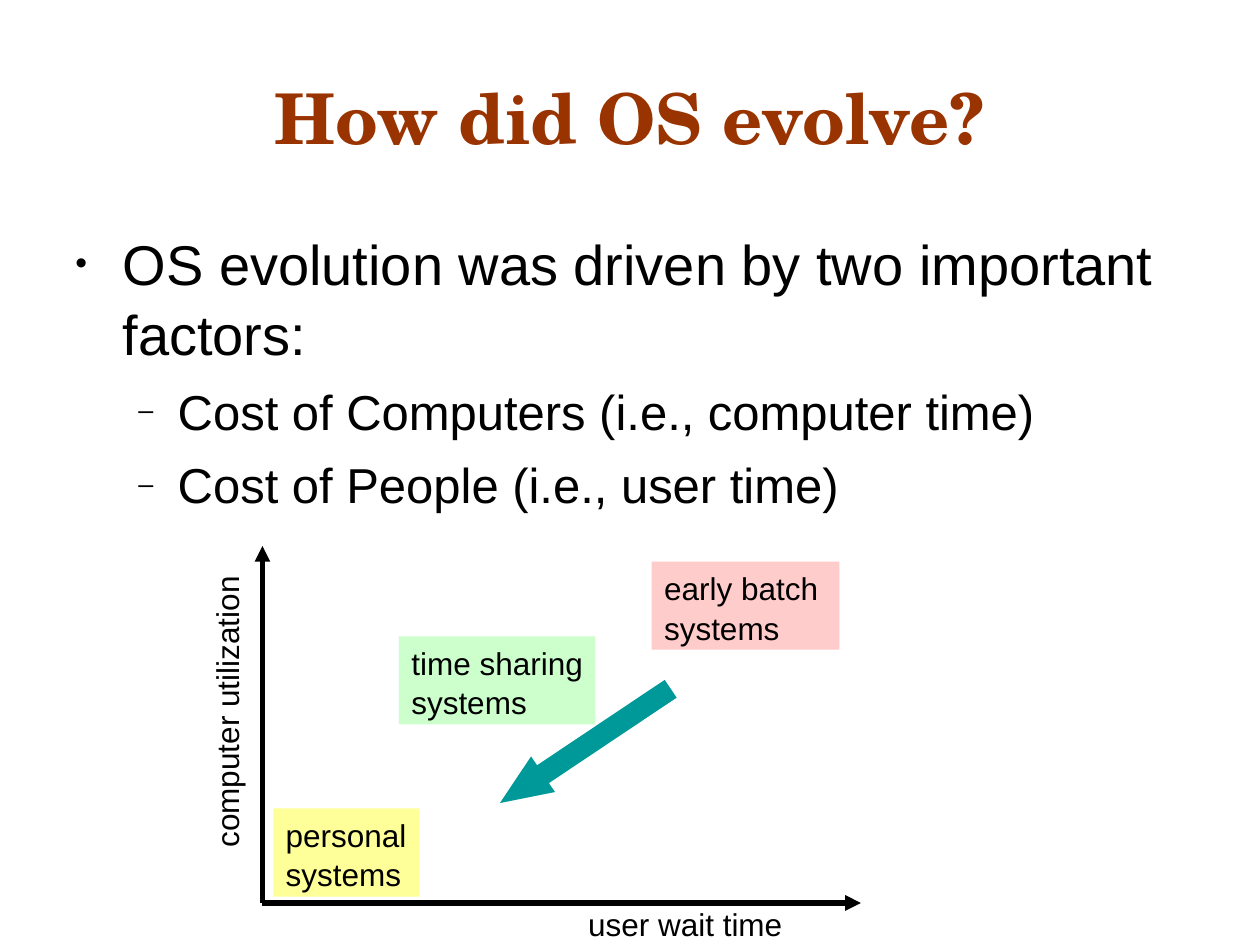
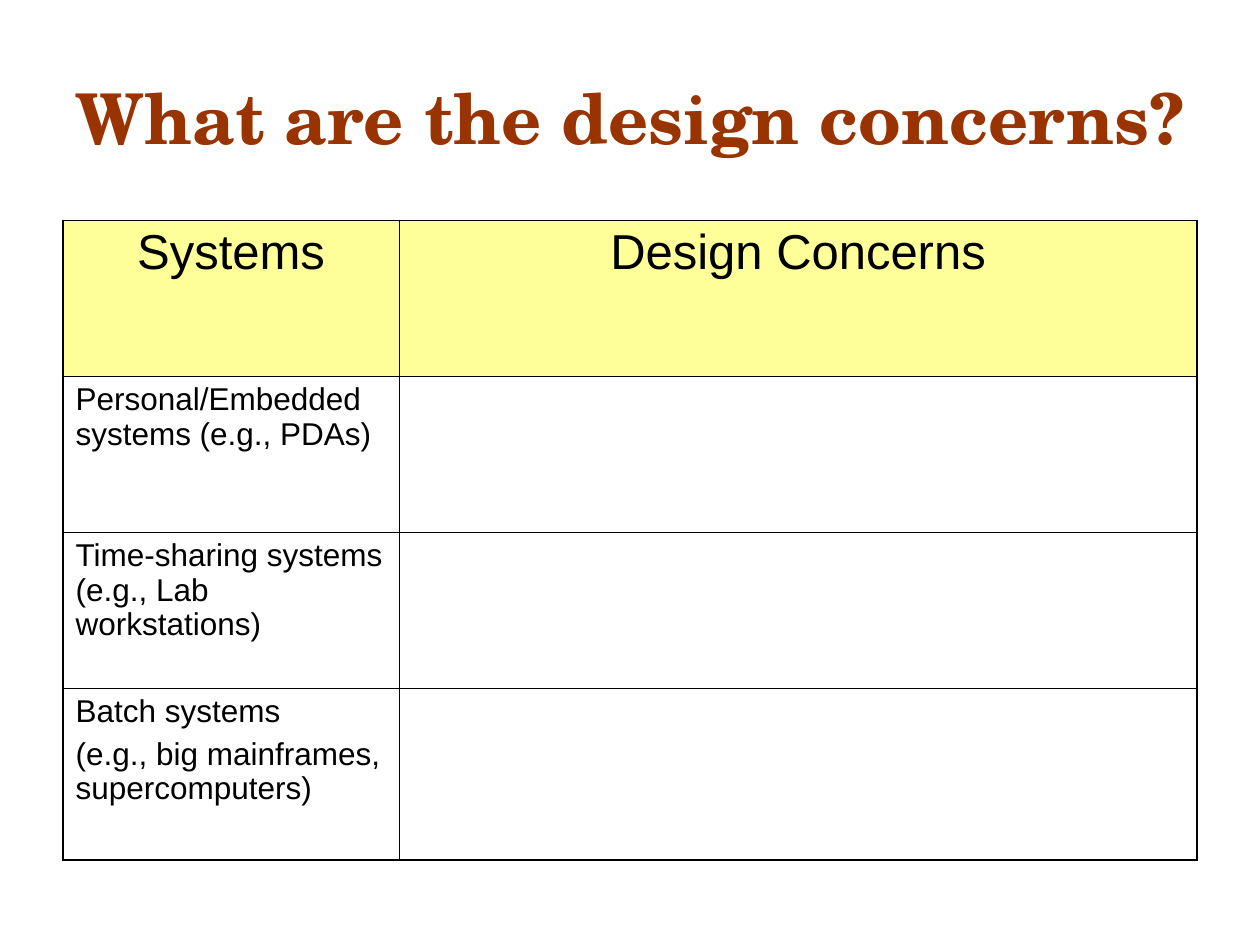
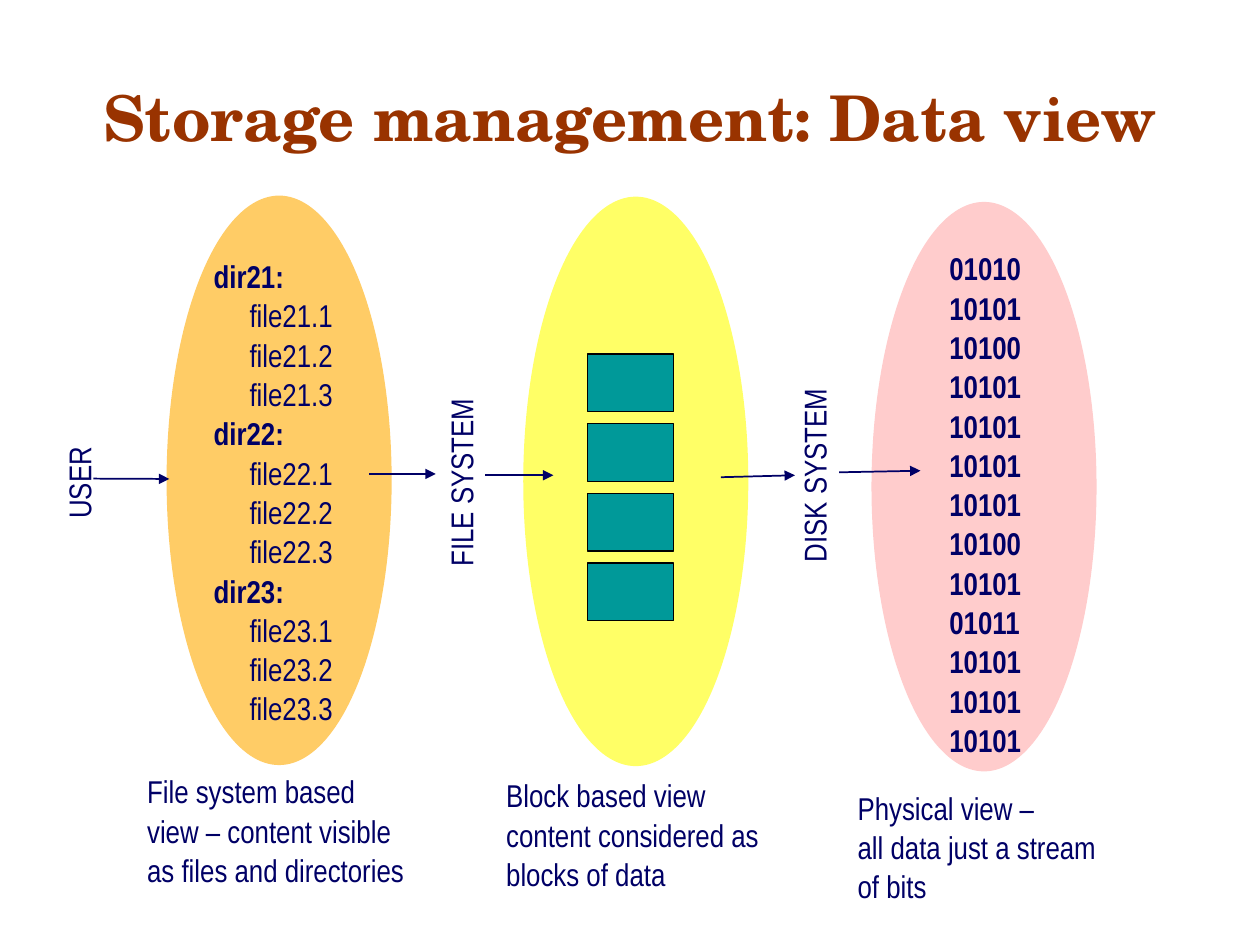
from lxml.etree import SubElement
from pptx import Presentation
from pptx.dml.color import RGBColor
from pptx.enum.shapes import MSO_CONNECTOR, MSO_SHAPE
from pptx.enum.text import MSO_ANCHOR, PP_ALIGN
from pptx.oxml import parse_xml
from pptx.oxml.ns import nsdecls, qn
from pptx.util import Pt

COLORS = {
    "title": "993300", "black": "000000", "navy": "000066", "teal": "009999",
    "pink": "FFCCCC", "green": "CCFFCC", "pale": "FFFF99",
    "orange": "FFCC66", "yellow": "FFFF66",
}
TITLE_FONT, BODY_FONT, NARROW_FONT = "TeX Gyre Schola", "Arial", "Arial Narrow"
LINE_SPACING, CELL_SPACING = 1.04, 0.98
OUTER, INNER = 1.08, 0.45
LEFT, TOP, WIDTH = 36, 126, 648


def rgb(name):
    return RGBColor.from_string(COLORS[name])


def box(*lengths):
    return [Pt(v) for v in lengths]


class Deck:
    def __init__(self):
        self.prs = Presentation()
        self.prs.slide_width, self.prs.slide_height = Pt(720), Pt(540)
        self.s = None

    def slide(self, title, size=40):
        self.s = self.prs.slides.add_slide(self.prs.slide_layouts[5])
        sp = self.s.shapes.title
        sp.left, sp.top, sp.width, sp.height = box(LEFT, 21.6, WIDTH, 90)
        tf = sp.text_frame
        tf.margin_left = tf.margin_right = 0
        tf.vertical_anchor = MSO_ANCHOR.MIDDLE
        tf.text = title
        p = tf.paragraphs[0]
        p.alignment = PP_ALIGN.CENTER
        self.font(p, size, TITLE_FONT, "title", True)

    def font(self, p, size=18, name=BODY_FONT, color="black", bold=False):
        f = p.font
        f.size, f.name, f.bold = Pt(size), name, bold
        f.color.rgb = rgb(color)

    def lines(self, tf, texts, spacing=LINE_SPACING, before=0, **font):
        """Fill a text frame with one paragraph per text."""
        for i, text in enumerate(texts):
            p = tf.paragraphs[0] if i == 0 else tf.add_paragraph()
            p.text = text
            p.alignment = PP_ALIGN.LEFT
            p.line_spacing = spacing
            if i and before:
                p.space_before = Pt(before)
            self.font(p, **font)

    def frame(self, sp):
        tf = sp.text_frame
        tf.word_wrap = True
        tf.margin_right = 0
        tf.vertical_anchor = MSO_ANCHOR.TOP
        return tf

    def text(self, at, texts, rotation=0, **font):
        sp = self.s.shapes.add_textbox(*box(*at))
        sp.rotation = rotation
        tf = self.frame(sp)
        self.lines(tf, texts, **font)
        return tf

    def bullets(self, at, items):
        """Each item is (text, size, mark, mark size in %, indent, hanging, space before)."""
        tf = self.text(at, [item[0] for item in items])
        for p, (_, size, mark, percent, indent, hang, before) in zip(tf.paragraphs, items):
            pPr = p._p.get_or_add_pPr()
            pPr.set("marL", str(Pt(indent)))
            pPr.set("indent", str(Pt(-hang)))
            marks = (f'<a:buClr {nsdecls("a")}><a:srgbClr val="{COLORS["black"]}"/></a:buClr>',
                     f'<a:buSzPct {nsdecls("a")} val="{percent * 1000}"/>',
                     f'<a:buFont {nsdecls("a")} typeface="{BODY_FONT}"/>',
                     f'<a:buChar {nsdecls("a")} char="{mark}"/>')
            defaults = pPr.find(qn("a:defRPr"))
            for xml in marks:
                defaults.addprevious(parse_xml(xml))
            if before:
                p.space_before = Pt(before)
            self.font(p, size)

    def shape(self, kind, at, fill, line=None, texts=()):
        sp = self.s.shapes.add_shape(kind, *box(*at))
        sp.shadow.inherit = False
        sp.fill.solid()
        sp.fill.fore_color.rgb = rgb(fill)
        if line:
            sp.line.color.rgb, sp.line.width = rgb(line), Pt(0.75)
        else:
            sp.line.fill.background()
        if texts:
            self.lines(self.frame(sp), texts)
        return sp

    def arrow(self, ends, color="navy", width=1):
        c = self.s.shapes.add_connector(MSO_CONNECTOR.STRAIGHT, *box(*ends))
        c.line.color.rgb, c.line.width = rgb(color), Pt(width)
        SubElement(c.line._get_or_add_ln(), qn("a:tailEnd"), type="triangle")
        SubElement(c._element.spPr, qn("a:effectLst"))

    def borders(self, cell, widths):
        """Draw the left, right, top and bottom borders of a cell."""
        tcPr = cell._tc.get_or_add_tcPr()
        for i, (side, width) in enumerate(zip("LRTB", widths)):
            tcPr.insert(i, parse_xml(
                f'<a:ln{side} {nsdecls("a")} w="{Pt(width)}"><a:solidFill>'
                f'<a:srgbClr val="{COLORS["black"]}"/></a:solidFill></a:ln{side}>'))

    def table(self, at, widths, heights, header, rows):
        """Each row lists its cells, and each cell lists its paragraphs."""
        data = [[[h] for h in header]] + rows
        table = self.s.shapes.add_table(len(data), len(header), *box(*at)).table
        table.first_row = table.horz_banding = False
        for col, width in zip(table.columns, widths):
            col.width = Pt(width)
        last_r, last_c = len(data) - 1, len(header) - 1
        for r, row in enumerate(data):
            table.rows[r].height = Pt(heights[r])
            for c, texts in enumerate(row):
                cell = table.cell(r, c)
                self.lines(cell.text_frame, texts, CELL_SPACING, before=4.5,
                           size=18 if r else 28)
                if r:
                    cell.fill.background()
                else:
                    cell.fill.solid()
                    cell.fill.fore_color.rgb = rgb("pale")
                    cell.text_frame.paragraphs[0].alignment = PP_ALIGN.CENTER
                edges = (c == 0, c == last_c, r == 0, r == last_r)
                self.borders(cell, [OUTER if edge else INNER for edge in edges])


def evolution(d):
    d.slide("How did OS evolve?")
    dash = (28, "–", 55, 58.5, 22.5, 7)
    d.bullets((LEFT, TOP, WIDTH, 356), [
        ("OS evolution was driven by two important factors:", 32, "•", 60, 27, 27, 0),
        ("Cost of Computers (i.e., computer time)", *dash),
        ("Cost of People (i.e., user time)", *dash),
    ])
    origin = (150, 516)
    d.arrow((*origin, 150, 312), "black", 3)
    d.arrow((*origin, 492, 516), "black", 3)
    d.text((329, 512.6, 125.3, 28.8), ["user wait time"])
    d.text((44, 392.4, 169.2, 28.8), ["computer utilization"], rotation=270)
    for x, y, w, fill, kind in ((372.4, 320.9, 107.3, "pink", "early batch"),
                                (156.2, 462, 83.5, "pale", "personal"),
                                (228, 363.6, 112.3, "green", "time sharing")):
        d.shape(MSO_SHAPE.RECTANGLE, (x, y, w, 50.4), fill, texts=[kind, "systems"])
    trend = d.shape(MSO_SHAPE.LEFT_ARROW, (275.8, 414, 117.4, 24.5), "teal")
    trend.adjustments[0], trend.adjustments[1] = 0.5, 1.21
    trend.rotation = 326.2


def concerns(d):
    d.slide("What are the design concerns?")
    d.table((LEFT, TOP, WIDTH, 365), (192, 456), (89.2, 89.2, 89.2, 97.9),
            ["Systems", "Design Concerns"],
            [[["Personal/Embedded systems (e.g., PDAs)"], [""]],
             [["Time-sharing systems (e.g., Lab workstations)"], [""]],
             [["Batch systems", "(e.g., big mainframes, supercomputers)"], [""]]])


def storage(d):
    narrow = {"name": NARROW_FONT, "color": "navy"}
    d.slide("Storage management: Data view", 36)
    for x, y, fill in ((95.2, 111.8, "orange"), (299, 112.4, "yellow"), (498, 115.4, "pink")):
        d.shape(MSO_SHAPE.OVAL, (x, y, 128.6, 325.4), fill)

    listing = []
    for n in (21, 22, 23):
        listing += [f"dir{n}:"] + [f"file{n}.{i}" for i in (1, 2, 3)]
    tf = d.text((115, 142.6, 98, 266.4), listing, **narrow)
    for p in tf.paragraphs:
        if p.text.startswith("dir"):
            p.font.bold = True
        else:
            p._p.get_or_add_pPr().set("marL", str(Pt(20.5)))

    for i in range(4):
        d.shape(MSO_SHAPE.RECTANGLE, (335.8, 202.4 + 39.8 * i, 49.2, 33), "teal", "black")

    bits = "01010 10101 10100 10101 10101 10101 10101 10100 10101 01011 10101 10101 10101"
    d.text((535.4, 138.2, 77, 288), bits.split(), bold=True, **narrow)

    for x, y, w, label in ((16.6, 261.4, 55.4, "USER"),
                           (207.4, 261.4, 110.2, "FILE SYSTEM"),
                           (407.5, 257, 113.8, "DISK SYSTEM")):
        d.text((x, y, w, 28.8), [label], rotation=270, **narrow)
    for ends in ((53.3, 273.5, 96.8, 273.7), (211, 270.8, 249, 270.8),
                 (277.2, 271.6, 316.2, 271.6), (412, 272.7, 454.3, 271.6),
                 (479.5, 269.9, 526, 269)):
        d.arrow(ends)
    for x, y, w, caption in (
            (77, 437, 165, ["File system based", "view – content visible",
                            "as files and directories"]),
            (282.2, 439.2, 158.4, ["Block based view", "content considered as",
                                   "blocks of data"]),
            (483, 446.4, 150.5, ["Physical view –", "all data just a stream", "of bits"])):
        d.text((x, y, w, 72), caption, **narrow)


def main():
    d = Deck()
    for build in (evolution, concerns, storage):
        build(d)
    d.prs.save("out.pptx")


if __name__ == "__main__":
    main()
